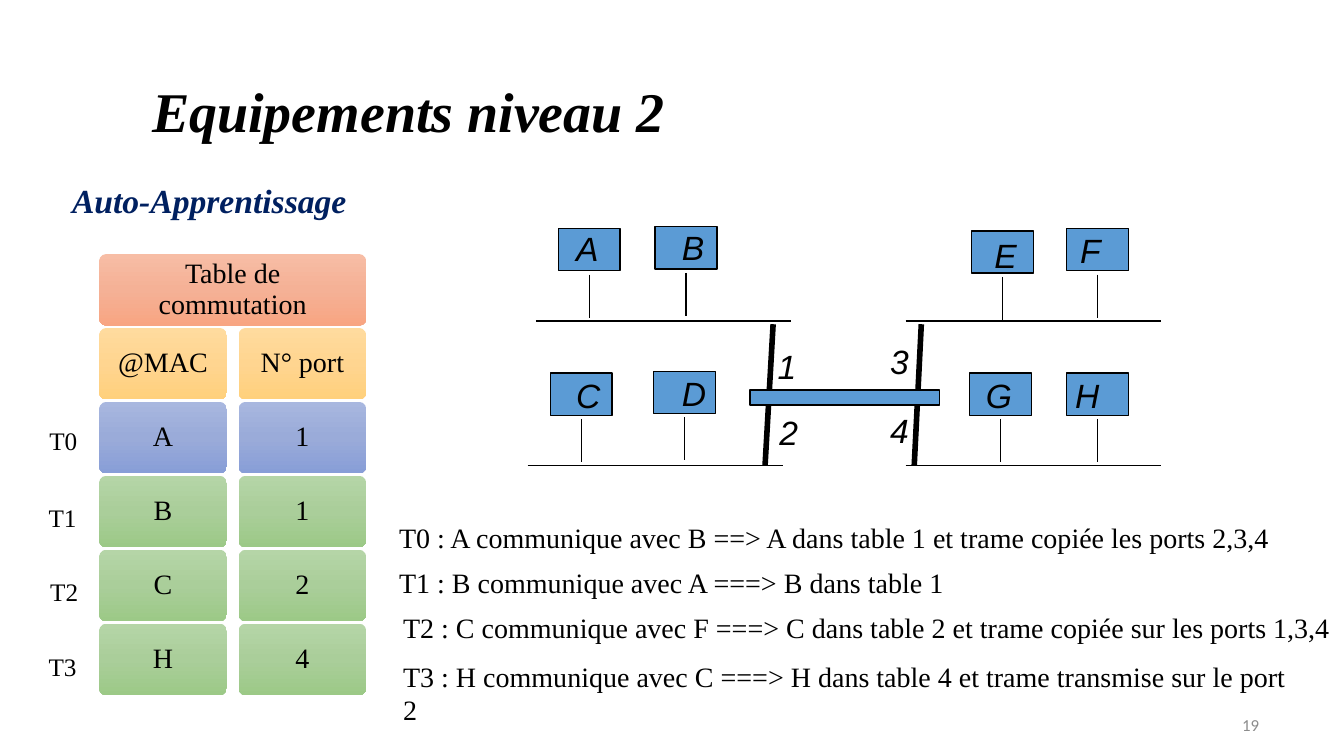
import copy
from dataclasses import dataclass
from typing import NamedTuple

import pptx
import pptx.dml.color
import pptx.enum.shapes
import pptx.enum.text
import pptx.oxml.ns
import pptx.shapes.autoshape
import pptx.slide
import pptx.util
from lxml import etree

RGB = pptx.dml.color.RGBColor
SHAPE = pptx.enum.shapes.MSO_SHAPE
ALIGN = pptx.enum.text.PP_ALIGN
ANCHOR = pptx.enum.text.MSO_ANCHOR

BLACK = RGB(0x00, 0x00, 0x00)
BLUE = RGB(0x5B, 0x9B, 0xD5)
NAVY = RGB(0x00, 0x20, 0x60)
GREY = RGB(0x8C, 0x8C, 0x8C)
CORAL = (RGB(0xF7, 0xBD, 0xA5), RGB(0xF5, 0xB1, 0x96), RGB(0xF8, 0xA5, 0x82))
AMBER = (RGB(0xFF, 0xDB, 0x9E), RGB(0xFF, 0xD5, 0x90), RGB(0xFF, 0xD0, 0x7C))
INDIGO = (RGB(0xA8, 0xB7, 0xDF), RGB(0x9A, 0xAB, 0xD9), RGB(0x88, 0x9E, 0xD7))
GREEN = (RGB(0xB5, 0xD5, 0xA7), RGB(0xAA, 0xCE, 0x9A), RGB(0x9C, 0xC9, 0x87))

WIDTH = pptx.util.Inches(13.333)
HEIGHT = pptx.util.Inches(7.5)
COLS, ROWS = 800, 450
SERIF, SANS = "Times New Roman", "Arial"


class Box(NamedTuple):
    col: float
    row: float
    wide: float
    high: float


@dataclass(frozen=True)
class Host:
    name: str
    col: float
    row: float
    text_col: float
    text_row: float


@dataclass(frozen=True)
class Line:
    col: float
    row: float
    end_col: float
    end_row: float
    weight: float = 1


@dataclass(frozen=True)
class Label:
    words: str
    box: Box


HOSTS = [
    Host("A", 332.4, 136, 337, 133), Host("B", 390, 135, 400, 132),
    Host("C", 327.6, 222, 337, 220), Host("D", 389, 221, 400, 219),
    Host("E", 578.4, 137.4, 586, 137), Host("F", 635, 136, 637, 134),
    Host("G", 577.2, 222, 581, 220), Host("H", 635, 222, 634, 220),
]
TRUNKS = [Line(548.4, 193, 544.2, 277, 4), Line(460.2, 193, 455.4, 277, 4)]
BUSES = [Line(col, row, col + 152, row)
         for col, row in ((319, 191), (539, 191), (314, 277), (539, 277))]
PORTS = [Label(words, Box(col, row, 24, 30)) for words, col, row in
         (("1", 457, 203), ("2", 458, 242), ("3", 524, 200), ("4", 524, 241))]
TIMES = [Label(f"T{step}", Box(col, row, 34, 25))
         for step, (col, row) in enumerate(((23.4, 250), (23, 296), (24, 340), (23, 385)))]
STEPS = [
    Label("T0 : A communique avec B ==> A dans table 1 et trame copiée les ports 2,3,4",
          Box(231.6, 306.6, 550, 46)),
    Label("T1 : B communique avec A ===> B dans table 1",
          Box(231.6, 333.6, 546, 46)),
    Label("T2 : C communique avec F ===> C dans table 2 et trame copiée sur les ports 1,3,4",
          Box(234, 360.6, 571, 26)),
    Label("T3 : H communique avec C ===> H dans table 4 et trame transmise sur le port 2",
          Box(234, 389.4, 549, 26)),
]
TABLE = [
    (("Table de commutation",), CORAL),
    (("@MAC", "N° port"), AMBER),
    (("A", "1"), INDIGO),
    (("B", "1"), GREEN),
    (("C", "2"), GREEN),
    (("H", "4"), GREEN),
]


def across(cols: float) -> int:
    return round(WIDTH * cols / COLS)


def down(rows: float) -> int:
    return round(HEIGHT * rows / ROWS)


def place(box: Box) -> tuple[int, int, int, int]:
    return across(box.col), down(box.row), across(box.wide), down(box.high)


def text(slide: pptx.slide.Slide, words: str, box: Box, *, size: float = 20,
         font: str = SERIF, color: RGB = BLACK, bold: bool = False,
         slant: bool = False, align: ALIGN = ALIGN.LEFT,
         anchor: ANCHOR = ANCHOR.TOP, space: float = 1) -> None:
    frame = slide.shapes.add_textbox(*place(box)).text_frame
    frame.word_wrap = True
    frame.vertical_anchor = anchor
    para = frame.paragraphs[0]
    para.alignment = align
    para.line_spacing = space
    run = para.add_run()
    run.text = words
    run.font.size = pptx.util.Pt(size)
    run.font.name = font
    run.font.color.rgb = color
    run.font.bold = bold
    run.font.italic = slant


def wire(slide: pptx.slide.Slide, line: Line) -> None:
    link = slide.shapes.add_connector(
        pptx.enum.shapes.MSO_CONNECTOR.STRAIGHT, across(line.col), down(line.row),
        across(line.end_col), down(line.end_row))
    link.line.color.rgb = BLACK
    link.line.width = pptx.util.Pt(line.weight)
    etree.SubElement(link._element.spPr, pptx.oxml.ns.qn("a:effectLst"))


def block(slide: pptx.slide.Slide, box: Box) -> None:
    shape = slide.shapes.add_shape(SHAPE.RECTANGLE, *place(box))
    shape.shadow.inherit = False
    shape.fill.solid()
    shape.fill.fore_color.rgb = BLUE
    shape.line.color.rgb = BLACK
    shape.line.width = pptx.util.Pt(1)


def shade(shape: pptx.shapes.autoshape.Shape, tints: tuple[RGB, RGB, RGB]) -> None:
    shape.fill.gradient()
    shape.fill.gradient_angle = 270
    first = shape._element.spPr.find(".//" + pptx.oxml.ns.qn("a:gs"))
    first.addnext(copy.deepcopy(first))
    for stop, tint, share in zip(shape.fill.gradient_stops, tints, (0, 0.5, 1)):
        stop.color.rgb = tint
        stop.position = share


def cell(slide: pptx.slide.Slide, words: str, box: Box,
         tints: tuple[RGB, RGB, RGB]) -> None:
    shape = slide.shapes.add_shape(SHAPE.ROUNDED_RECTANGLE, *place(box))
    shape.adjustments[0] = 0.1
    shape.shadow.inherit = False
    shape.line.fill.background()
    shade(shape, tints)
    text(slide, words, box, align=ALIGN.CENTER, anchor=ANCHOR.MIDDLE, space=0.9)


def host(slide: pptx.slide.Slide, node: Host) -> None:
    block(slide, Box(node.col, node.row, 36.8, 25.2))
    stem = node.col + 18.4
    wire(slide, Line(stem, node.row + 27.4, stem, node.row + 53))
    text(slide, node.name, Box(node.text_col, node.text_row, 28, 30),
         size=24, font=SANS, slant=True)


def main() -> None:
    deck = pptx.Presentation()
    deck.slide_width, deck.slide_height = WIDTH, HEIGHT
    slide = deck.slides.add_slide(deck.slide_layouts[6])

    text(slide, "Equipements niveau 2", Box(84.6, 30.6, 540, 75), size=40,
         bold=True, slant=True, anchor=ANCHOR.MIDDLE, space=0.9)
    text(slide, "Auto-Apprentissage", Box(37, 104.4, 344, 30), size=24,
         color=NAVY, bold=True, slant=True)

    for line in TRUNKS + BUSES:
        wire(slide, line)
    for node in HOSTS:
        host(slide, node)
    block(slide, Box(446.4, 232.2, 113, 9))
    for port in PORTS:
        text(slide, port.words, port.box, size=24, font=SANS, slant=True)

    for row, (words, tints) in enumerate(TABLE):
        wide = 159 if len(words) == 1 else 76
        for col, word in enumerate(words):
            cell(slide, word, Box(59 + 83 * col, 151.2 + 44 * row, wide, 42.6), tints)
    for time in TIMES:
        text(slide, time.words, time.box, size=18)
    for step in STEPS:
        text(slide, step.words, step.box)
    text(slide, "19", Box(575.4, 419.4, 180, 24), size=12, font="Calibri",
         color=GREY, align=ALIGN.RIGHT, anchor=ANCHOR.MIDDLE)

    deck.save("out.pptx")


if __name__ == "__main__":
    main()
